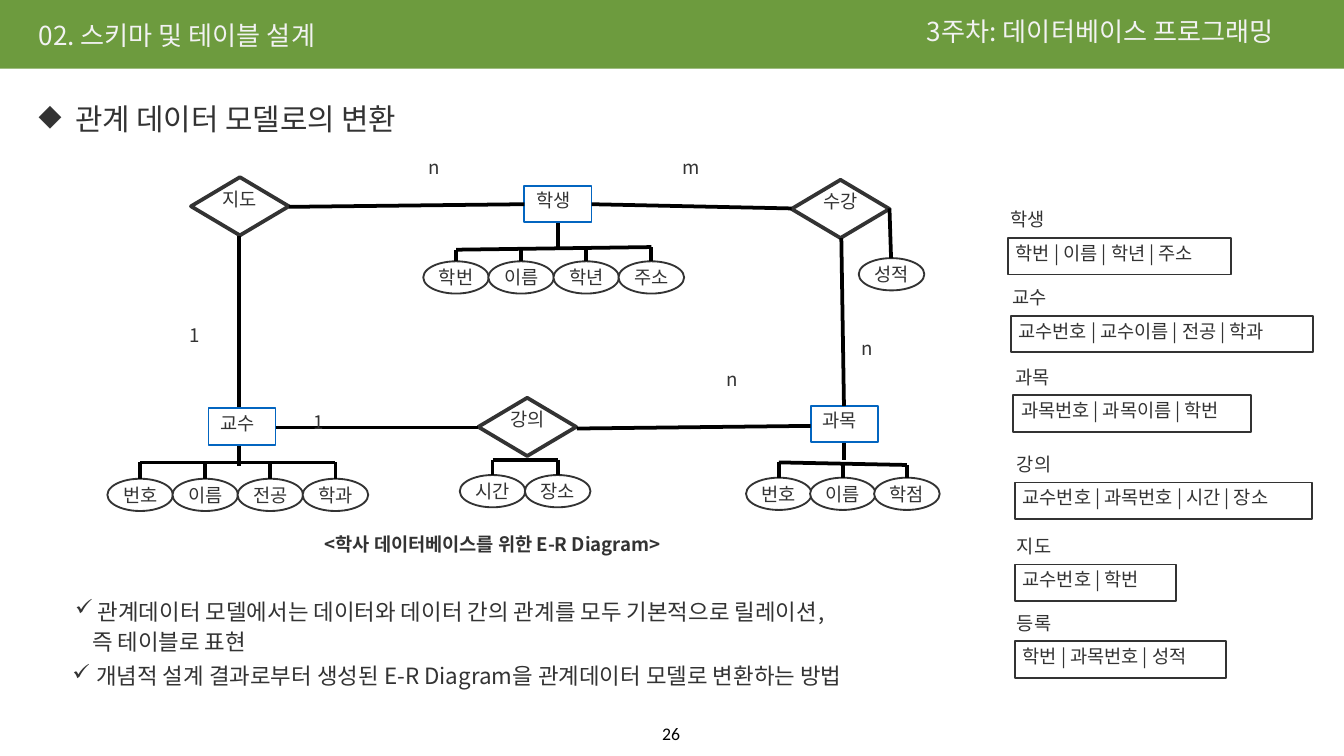
"""Build a slide that turns an E-R diagram into relational tables."""
from lxml import etree
from pptx import Presentation
from pptx.dml.color import RGBColor
from pptx.enum.shapes import MSO_CONNECTOR, MSO_SHAPE
from pptx.enum.text import MSO_ANCHOR, PP_ALIGN
from pptx.oxml.ns import qn
from pptx.util import Cm, Pt

RECT, OVAL, RHOMB = MSO_SHAPE.RECTANGLE, MSO_SHAPE.OVAL, MSO_SHAPE.DIAMOND
STRAIGHT = MSO_CONNECTOR.STRAIGHT
TOP, MID = MSO_ANCHOR.TOP, MSO_ANCHOR.MIDDLE
LEFT, CENTER = PP_ALIGN.LEFT, PP_ALIGN.CENTER
SANS = "Noto Sans CJK KR"
HUES = {name: RGBColor.from_string(code) for name, code in {
    "green": "6D9B3E", "pale": "F2F2F2", "ink": "333333",
    "blue": "0365C0", "black": "000000", "white": "FFFFFF"}.items()}

deck = Presentation()
deck.slide_width, deck.slide_height = Cm(25.4), Cm(14.29)
slide = deck.slides.add_slide(deck.slide_layouts[6])
shapes = slide.shapes


def put(x, y, w, h, lines, kind=None, edge="ink", fill=None, thick=1, size=10,
        hue="ink", align=LEFT, gap=0.8, pad=0.15, right=0, bold=False,
        anchor=TOP, font=SANS):
    """Place text, in a preset shape if kind is given; a line is (text, bullet, indent)."""
    place = Cm(x), Cm(y), Cm(w), Cm(h)
    if kind:
        box = shapes.add_shape(kind, *place)
        box.shadow.inherit = False
        box.line.color.rgb, box.line.width = HUES[edge], Pt(thick)
        if fill:
            box.fill.solid()
            box.fill.fore_color.rgb = HUES[fill]
        else:
            box.fill.background()
    else:
        box = shapes.add_textbox(*place)
    frame = box.text_frame
    frame.word_wrap, frame.vertical_anchor = True, anchor
    frame.margin_left = frame.margin_top = frame.margin_bottom = Cm(pad)
    frame.margin_right = Cm(right)
    for i, (text, mark, inset) in enumerate(lines):
        para = frame.add_paragraph() if i else frame.paragraphs[0]
        para.text, para.alignment, para.line_spacing = text, align, gap
        if i:
            para.space_before = Pt(2)
        props = para._p.get_or_add_pPr()
        props.set("marL", str(Cm(inset)))
        props.set("indent", str(-Cm(inset) if mark else 0))
        if mark:
            etree.SubElement(props, qn("a:buChar"), char=mark)
        para.font.name, para.font.size, para.font.bold = font, Pt(size), bold
        para.font.color.rgb = HUES[hue]
        etree.SubElement(props.find(qn("a:defRPr")), qn("a:ea"), typeface=font)


def link(x1, y1, x2, y2):
    """Draw a thick black line."""
    line = shapes.add_connector(STRAIGHT, Cm(x1), Cm(y1), Cm(x2), Cm(y2))
    line.line.color.rgb, line.line.width = HUES["black"], Pt(2)
    etree.SubElement(line._element.spPr, qn("a:effectLst"))


band = shapes.add_shape(RECT, 0, 0, deck.slide_width, Cm(1.3))
band.shadow.inherit = False
band.fill.solid()
band.fill.fore_color.rgb = HUES["green"]
band.line.fill.background()

put(0.58, 0.33, 7.87, 0.79, [("02. 스키마 및 테이블 설계", None, 0)], size=14, hue="pale")
put(17.37, 0.25, 7.87, 0.79, [("3주차: 데이터베이스 프로그래밍", None, 0)],
    size=14, hue="pale", anchor=MID)
put(0.58, 1.88, 14.25, 1.19, [("관계 데이터 모델로의 변환", "◆", 0.69)], size=16)
put(1.27, 11.15, 22.99, 1.45, [
    ("관계데이터 모델에서는 데이터와 데이터 간의 관계를 모두 기본적으로 릴레이션,", "✓", 0.43),
    ("즉 테이블로 표현", None, 0.32)], size=12, gap=1)
put(1.22, 12.37, 23.39, 0.76, [
    ("개념적 설계 결과로부터 생성된 E-R Diagram을 관계데이터 모델로 변환하는 방법", "✓", 0.45)],
    size=12, gap=1)

for x, y, name in [(3.61, 3.35, "지도"), (14.96, 3.4, "수강"), (9.04, 7.52, "강의")]:
    put(x, y, 1.85, 1.1, [(name, None, 0)], RHOMB, fill="white", thick=2,
        align=CENTER, pad=0)
for x, y, name in [(9.91, 3.51, "학생"), (3.94, 7.72, "교수"), (15.32, 7.67, "과목")]:
    put(x, y, 1.27, 0.69, [(name, None, 0.08)], RECT, edge="blue")

groups = [
    (8, 4.94, 1.23, 4.72, 4.67, ["학번", "이름", "학년", "주소"]),
    (2.03, 9.05, 1.23, 8.74, 8.74, ["번호", "이름", "전공", "학과"]),
    (8.69, 8.98, 1.23, 8.69, 8.69, ["시간", "장소"]),
    (14.1, 9.03, 1.21, 8.74, 8.79, ["번호", "이름", "학점"]),
]
ovals = [(x + i * step, y, name) for x, y, step, _, _, names in groups
         for i, name in enumerate(names)]
for x, y, name in ovals + [(16.23, 4.88, "성적")]:
    put(x, y, 1.24, 0.61, [(name, None, 0)], OVAL, fill="white",
        align=CENTER, gap=1, pad=0)

for ends in [(5.46, 3.91, 9.91, 3.86), (11.18, 3.86, 14.96, 3.94),
             (15.9, 4.5, 15.95, 7.67), (4.52, 4.47, 4.52, 7.7),
             (5.21, 8.08, 9.04, 8.08), (10.9, 8.1, 15.32, 8.05),
             (16.81, 3.94, 16.84, 4.88), (10.54, 4.22, 10.54, 4.67),
             (4.52, 8.43, 4.52, 8.81), (15.95, 8.38, 15.95, 8.69)]:
    link(*ends)
for x, y, step, y1, y2, names in groups:
    mid, last = x + 0.62, len(names) - 1
    link(mid, y1, mid + last * step, y2)
    for i in range(last + 1):
        link(mid + i * step, y1 + (y2 - y1) * i / last, mid + i * step, y)

for x, y, count in [(7.95, 2.87, "n"), (12.75, 2.87, "m"), (3.43, 6.05, "1"),
                    (5.77, 7.7, "1"), (13.59, 6.88, "n"), (16.13, 6.3, "n")]:
    put(x, y, 1.02, 0.99, [(count, None, 0)])
put(5.99, 10, 10.34, 0.99, [("<학사 데이터베이스를 위한 E-R Diagram>", None, 0)], bold=True)

for x, y, w, name, keys in [
        (19.05, 4.5, 4.22, "학생", "학번 | 이름 | 학년 | 주소"),
        (19.1, 5.97, 5.72, "교수", "교수번호 | 교수이름 | 전공 | 학과"),
        (19.15, 7.47, 4.5, "과목", "과목번호 | 과목이름 | 학번"),
        (19.18, 9.12, 5.61, "강의", "교수번호 | 과목번호 | 시간 | 장소"),
        (19.18, 10.67, 3.05, "지도", "교수번호 | 학번"),
        (19.18, 12.12, 3.99, "등록", "학번 | 과목번호 | 성적")]:
    put(x, y, w, 0.69, [(keys, None, 0)], RECT)
    put(x - 0.11, y - 0.63, 1.17, 0.69, [(name, None, 0)])
put(12.34, 13.56, 0.69, 0.69, [("26", None, 0)], size=9.5, hue="black",
    align=CENTER, gap=1, pad=0.1, right=0.1, font="Calibri")

deck.save("out.pptx")
